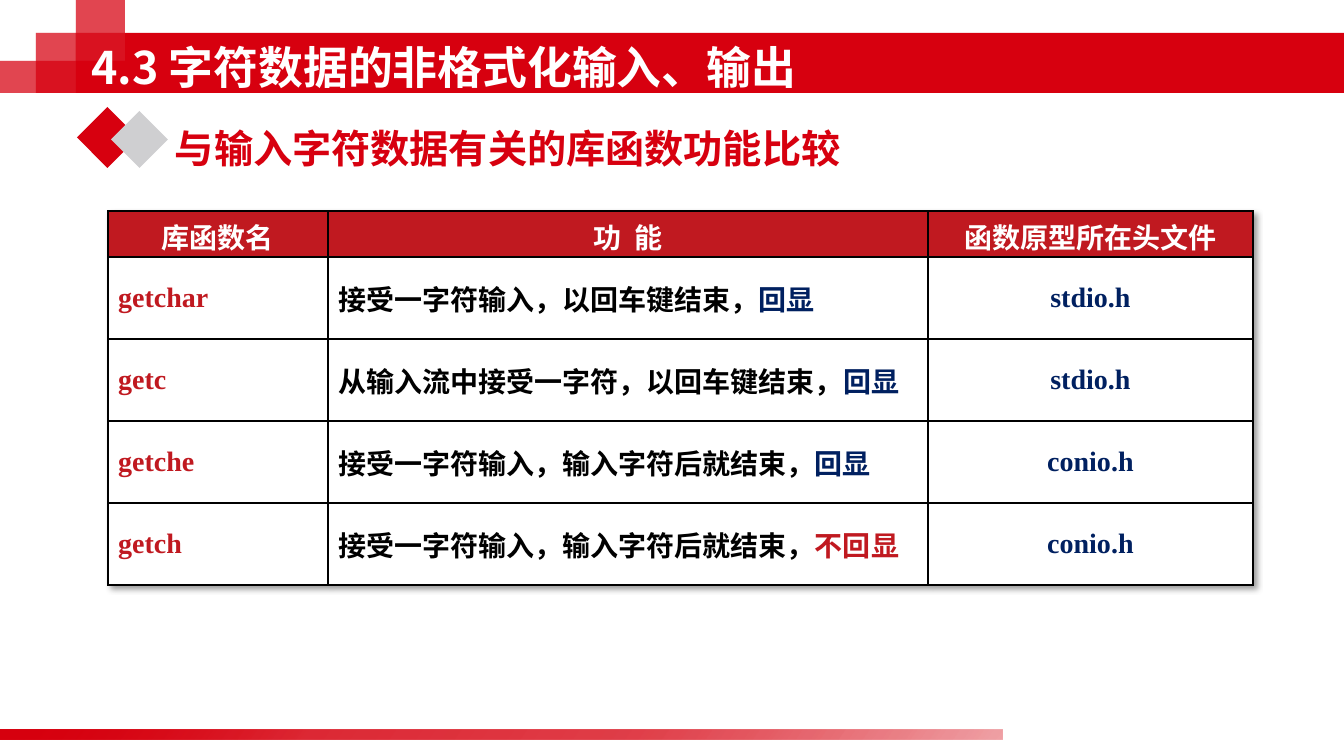
from pptx import Presentation
from pptx.dml.color import RGBColor
from pptx.enum.shapes import MSO_SHAPE
from pptx.enum.text import MSO_ANCHOR, MSO_AUTO_SIZE, PP_ALIGN
from pptx.oxml import parse_xml
from pptx.oxml.ns import nsdecls, qn
from pptx.util import Pt
from lxml.etree import SubElement

PX = 914400 / 100.8


class Theme:
    red = "D7000F"
    table_red = "C01920"
    navy = "002060"
    gray = "CFCFD1"
    white = "FFFFFF"
    black = "000000"
    heading_font = "Noto Sans CJK SC"
    table_font = "Times New Roman"
    title_size = 32
    heading_size = 28
    table_size = 20


def add_block(shapes, kind, box, color, alpha=100):
    shape = shapes.add_shape(kind, *[round(value * PX) for value in box])
    shape.shadow.inherit = False
    shape.line.fill.background()
    shape.fill.solid()
    shape.fill.fore_color.rgb = RGBColor.from_string(color)
    if alpha < 100:
        rgb = shape.element.spPr.find(qn("a:solidFill"))[0]
        SubElement(rgb, qn("a:alpha"), val=str(alpha * 1000))
    return shape


def format_run(run, size, color, font_name):
    run.font.size = Pt(size)
    run.font.bold = True
    run.font.color.rgb = RGBColor.from_string(color)
    run.font.name = font_name
    SubElement(run.font._element, qn("a:ea"), typeface=Theme.heading_font)


presentation = Presentation()
presentation.slide_width = round(1344 * PX)
presentation.slide_height = round(756 * PX)
slide = presentation.slides.add_slide(presentation.slide_layouts[5])

corner_boxes = [
    (0, 61, 125, 32),
    (36, 33, 40, 60),
    (76, -2, 49, 63),
    (76, 33, 49, 28),
]
gradient_stops = [(0, 100), (31, 60), (64, 50), (100, 20)]
stops_xml = "".join(
    f'<a:gs pos="{position * 1000}"><a:srgbClr val="{Theme.red}">'
    f'<a:alpha val="{alpha * 1000}"/></a:srgbClr></a:gs>'
    for position, alpha in gradient_stops
)
for layer in range(2):
    corner = slide.shapes.add_group_shape()
    for box in corner_boxes:
        add_block(corner.shapes, MSO_SHAPE.RECTANGLE, box, Theme.red, 48)
    footer = add_block(slide.shapes, MSO_SHAPE.RECTANGLE, (-2, 730, 1005, 9), Theme.red)
    properties = footer.element.spPr
    properties.replace(properties.find(qn("a:solidFill")), parse_xml(
        f'<a:gradFill {nsdecls("a")} rotWithShape="1"><a:gsLst>{stops_xml}</a:gsLst>'
        '<a:lin ang="2400000" scaled="0"/></a:gradFill>'
    ))
for box in [(125, 33, 1219, 60), (76, 61, 49, 32)]:
    add_block(slide.shapes, MSO_SHAPE.RECTANGLE, box, Theme.red)

column_widths = [220, 600, 325]
row_heights = [46] + [82] * 4
table_rows = [
    [[("库函数名", Theme.white)], [("功  能", Theme.white)], [("函数原型所在头文件", Theme.white)]],
]
for name, action, echo, echo_color, header in [
    ("getchar", "接受一字符输入，以回车键结束，", "回显", Theme.navy, "stdio.h"),
    ("getc", "从输入流中接受一字符，以回车键结束，", "回显", Theme.navy, "stdio.h"),
    ("getche", "接受一字符输入，输入字符后就结束，", "回显", Theme.navy, "conio.h"),
    ("getch", "接受一字符输入，输入字符后就结束，", "不回显", Theme.table_red, "conio.h"),
]:
    table_rows.append([
        [(name, Theme.table_red)],
        [(action, Theme.black), (echo, echo_color)],
        [(header, Theme.navy)],
    ])

table = slide.shapes.add_table(
    len(row_heights), len(column_widths), round(108 * PX), round(211 * PX),
    round(sum(column_widths) * PX), round(sum(row_heights) * PX),
).table
table.first_row = False
table.horz_banding = False
table._tbl.tblPr.insert(0, parse_xml(
    f'<a:effectLst {nsdecls("a")}><a:outerShdw blurRad="50800" dist="38100" dir="2700000" '
    f'algn="tl" rotWithShape="0"><a:srgbClr val="{Theme.black}"><a:alpha val="40000"/>'
    '</a:srgbClr></a:outerShdw></a:effectLst>'
))
for column, width in zip(table.columns, column_widths):
    column.width = round(width * PX)
for row, height in zip(table.rows, row_heights):
    row.height = round(height * PX)

for row_index, row_content in enumerate(table_rows):
    for column_index, pieces in enumerate(row_content):
        cell = table.cell(row_index, column_index)
        is_header = row_index == 0
        paragraph = cell.text_frame.paragraphs[0]
        if is_header or column_index == 2:
            paragraph.alignment = PP_ALIGN.CENTER
        if is_header:
            cell.margin_bottom = 0
        else:
            cell.vertical_anchor = MSO_ANCHOR.MIDDLE
        for text, color in pieces:
            run = paragraph.add_run()
            run.text = text
            format_run(run, Theme.table_size, color, Theme.table_font)
        cell_properties = cell._tc.get_or_add_tcPr()
        for side in ("lnL", "lnR", "lnT", "lnB"):
            cell_properties.append(parse_xml(
                f'<a:{side} {nsdecls("a")} w="12700"><a:solidFill>'
                f'<a:srgbClr val="{Theme.black}"/></a:solidFill></a:{side}>'
            ))
        cell.fill.solid()
        cell.fill.fore_color.rgb = RGBColor.from_string(
            Theme.table_red if is_header else Theme.white
        )

title = slide.shapes.title
title.left, title.top, title.width, title.height = [
    round(value * PX) for value in (81, 33, 897, 68)
]
title.text_frame.text = "4.3 字符数据的非格式化输入、输出"
title.text_frame.word_wrap = True
title.text_frame.auto_size = MSO_AUTO_SIZE.NONE
title.text_frame.vertical_anchor = MSO_ANCHOR.MIDDLE
title_paragraph = title.text_frame.paragraphs[0]
title_paragraph.alignment = PP_ALIGN.LEFT
format_run(title_paragraph.runs[0], Theme.title_size, Theme.white, Theme.heading_font)
title.element.getparent().append(title.element)

heading = slide.shapes.add_group_shape()
add_block(heading.shapes, MSO_SHAPE.DIAMOND, (77, 107, 61, 61), Theme.red)
add_block(heading.shapes, MSO_SHAPE.DIAMOND, (111, 111, 57, 57), Theme.gray)
heading_box = heading.shapes.add_textbox(
    *[round(value * PX) for value in (165, 119, 721, 57)]
)
heading_box.text_frame.word_wrap = True
heading_box.text_frame.text = "与输入字符数据有关的库函数功能比较"
format_run(
    heading_box.text_frame.paragraphs[0].runs[0],
    Theme.heading_size, Theme.red, Theme.heading_font,
)

presentation.save("out.pptx")
